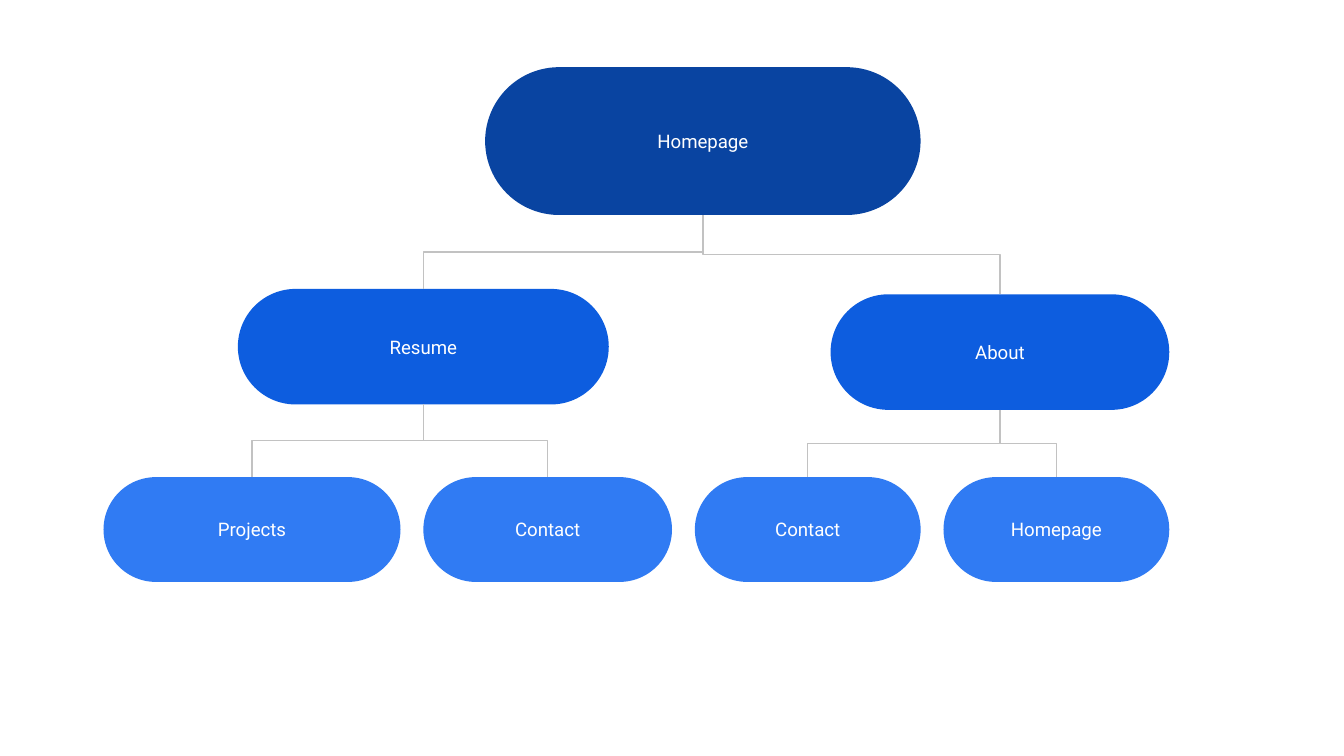
from lxml import etree
from pptx import Presentation
from pptx.dml.color import RGBColor
from pptx.enum.shapes import MSO_CONNECTOR, MSO_SHAPE
from pptx.enum.text import MSO_ANCHOR, PP_ALIGN
from pptx.oxml.ns import qn
from pptx.util import Inches, Pt

ROUNDED = MSO_SHAPE.ROUNDED_RECTANGLE
ELBOW = MSO_CONNECTOR.ELBOW
MIDDLE = MSO_ANCHOR.MIDDLE
CENTER = PP_ALIGN.CENTER

NAVY = RGBColor(0x09, 0x44, 0xA1)
BLUE = RGBColor(0x0D, 0x5D, 0xDF)
SKY = RGBColor(0x30, 0x7B, 0xF3)
GRAY = RGBColor(0xC2, 0xC2, 0xC2)
WHITE = RGBColor(0xFF, 0xFF, 0xFF)

FONT = "Roboto"
TOP_SITE, BOTTOM_SITE = 0, 2
PAGE_TOP, PAGE_HEIGHT = 3.55, 0.78

# Each page: label, (left, top, width, height), fill, child pages
SITE_MAP = ("Homepage", (3.61, 0.5, 3.24, 1.1), NAVY, [
    ("About", (6.18, 2.19, 2.52, 0.86), BLUE, [
        ("Homepage", (7.02, PAGE_TOP, 1.68, PAGE_HEIGHT), SKY, []),
        ("Contact", (5.17, PAGE_TOP, 1.68, PAGE_HEIGHT), SKY, []),
    ]),
    ("Resume", (1.77, 2.15, 2.76, 0.86), BLUE, [
        ("Contact", (3.15, PAGE_TOP, 1.85, PAGE_HEIGHT), SKY, []),
        ("Projects", (0.77, PAGE_TOP, 2.21, PAGE_HEIGHT), SKY, []),
    ]),
])


def add_page(slide, label, box, color):
    """Add a pill-shaped page with a centred label."""
    shape = slide.shapes.add_shape(ROUNDED, *(Inches(value) for value in box))
    shape.adjustments[0] = 0.5
    shape.shadow.inherit = False
    shape.fill.solid()
    shape.fill.fore_color.rgb = color
    shape.line.fill.background()

    text_frame = shape.text_frame
    text_frame.text = label
    text_frame.word_wrap = True
    text_frame.vertical_anchor = MIDDLE
    text_frame.margin_left = text_frame.margin_right = Inches(0.1)
    text_frame.margin_top = text_frame.margin_bottom = Inches(0.1)
    paragraph = text_frame.paragraphs[0]
    paragraph.alignment = CENTER
    font = paragraph.runs[0].font
    font.name, font.size, font.color.rgb = FONT, Pt(10), WHITE
    return shape


def add_branch(slide, parent, child):
    """Join a parent's bottom to a child's top, leaving vertically."""
    start_x = parent.left + parent.width // 2
    start_y = parent.top + parent.height
    end_x = child.left + child.width // 2
    end_y = child.top
    connector = slide.shapes.add_connector(ELBOW, start_x, start_y, end_x, end_y)
    connector.begin_connect(parent, BOTTOM_SITE)
    connector.end_connect(child, TOP_SITE)

    # The elbow is turned a quarter, so its box has width and height swapped
    drop, spread = end_y - start_y, abs(end_x - start_x)
    connector.left = (start_x + end_x - drop) // 2
    connector.top = (start_y + end_y - spread) // 2
    connector.width, connector.height = drop, spread
    goes_right = end_x > start_x
    properties = connector._element.spPr
    transform = properties.find(qn("a:xfrm"))
    transform.set("rot", str((270 if goes_right else 90) * 60000))
    transform.set("flipH", "1" if goes_right else "0")

    connector.line.color.rgb = GRAY
    connector.line.width = Pt(0.75)
    etree.SubElement(properties, qn("a:effectLst"))


def add_tree(slide, page):
    """Add a page, its descendants and the branches between them."""
    label, box, color, children = page
    shape = add_page(slide, label, box, color)
    for child in children:
        add_branch(slide, shape, add_tree(slide, child))
    return shape


def main():
    # Widescreen slide, 16:9
    presentation = Presentation()
    presentation.slide_width = Inches(10)
    presentation.slide_height = Inches(10 * 9 / 16)
    slide = presentation.slides.add_slide(presentation.slide_layouts[6])

    # Site map
    add_tree(slide, SITE_MAP)
    presentation.save("out.pptx")


if __name__ == "__main__":
    main()
